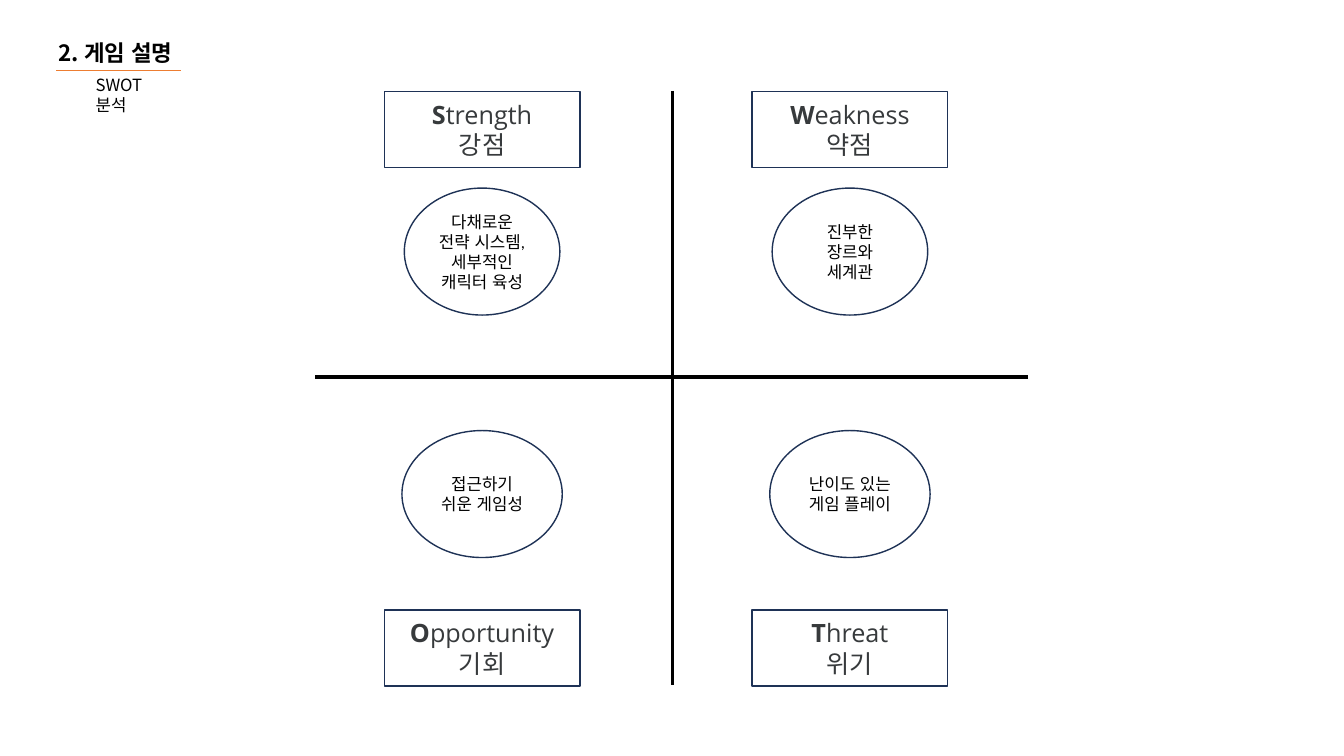
from pptx import Presentation
from pptx.dml.color import RGBColor
from pptx.enum.lang import MSO_LANGUAGE_ID
from pptx.enum.shapes import MSO_CONNECTOR, MSO_SHAPE
from pptx.enum.text import MSO_ANCHOR, PP_ALIGN
from pptx.oxml.ns import qn
from pptx.util import Cm, Pt
from lxml.etree import SubElement

COLOURS = {"black": "000000", "white": "FFFFFF", "navy": "1E3256",
           "heading": "373A3C", "orange": "ED7D31"}
FORMATS = {
    "title": {"name": "Noto Sans CJK KR", "size": Pt(16), "bold": True},
    "subtitle": {"name": "Noto Sans CJK KR", "size": Pt(12)},
    "heading": {"name": "Open Sans", "size": Pt(18), "bold": False},
    "initial": {"name": "Open Sans", "size": Pt(18), "bold": True},
    "point": {"name": "Calibri", "size": Pt(12)},
}


def add_span(para, text, style, colour="black"):
    span = para.add_run()
    span.text = text
    for key, value in FORMATS[style].items():
        setattr(span.font, key, value)
    span.font.language_id = MSO_LANGUAGE_ID.KOREAN
    span.font.color.rgb = RGBColor.from_string(COLOURS[colour])
    para.line_spacing = Pt(FORMATS[style]["size"].pt * 1.2)


def add_outlined(page, kind, centre, top, width, height):
    box = page.shapes.add_shape(kind, Cm(centre - width / 2), Cm(top), Cm(width), Cm(height))
    box.shadow.inherit = False
    box.fill.solid()
    box.fill.fore_color.rgb = RGBColor.from_string(COLOURS["white"])
    box.line.color.rgb = RGBColor.from_string(COLOURS["navy"])
    box.line.width = Pt(1)
    box.text_frame.word_wrap = True
    box.text_frame.vertical_anchor = MSO_ANCHOR.MIDDLE
    return box.text_frame


deck = Presentation()
deck.slide_width, deck.slide_height = Cm(33.87), Cm(19.05)
page = deck.slides.add_slide(deck.slide_layouts[5])

# Title and subtitle
title = page.shapes.title
title.left, title.top, title.width, title.height = Cm(1.22), Cm(0.86), Cm(3.76), Cm(0.94)
subtitle = page.shapes.add_textbox(Cm(2.16), Cm(1.75), Cm(2.5), Cm(0.76))
for box, text, style in [(title, "2. 게임 설명", "title"), (subtitle, "SWOT 분석", "subtitle")]:
    box.text_frame.word_wrap = True
    para = box.text_frame.paragraphs[0]
    para.alignment = PP_ALIGN.LEFT
    add_span(para, text, style)

# Title rule and the two axes
for left, top, right, bottom, colour, weight in [
    (1.42, 1.78, 4.57, 1.78, "orange", 0.5),
    (16.94, 2.29, 16.94, 17.27, "black", 2.25),
    (25.91, 9.5, 7.95, 9.5, "black", 2.25),
]:
    rule = page.shapes.add_connector(MSO_CONNECTOR.STRAIGHT, Cm(left), Cm(top), Cm(right), Cm(bottom))
    rule.line.color.rgb = RGBColor.from_string(COLOURS[colour])
    rule.line.width = Pt(weight)
    SubElement(rule._element.spPr, qn("a:effectLst"))

# Quadrants: a heading box and an ellipse in each
CENTRES = [12.15, 21.42]
ROWS = [
    {"heading_top": 2.31, "point_top": 4.74, "point_width": 3.92},
    {"heading_top": 15.37, "point_top": 10.85, "point_width": 4.04},
]
QUADRANTS = [
    ("Strength", "강점", ["다채로운 전략 시스템, 세부적인 캐릭터 육성"]),
    ("Weakness", "약점", ["진부한 장르와 세계관"]),
    ("Opportunity", "기회", ["접근하기 쉬운 게임성"]),
    ("Threat", "위기", ["난이도 있는", "게임 플레이"]),
]
for index, (english, korean, points) in enumerate(QUADRANTS):
    row, centre = ROWS[index // 2], CENTRES[index % 2]

    frame = add_outlined(page, MSO_SHAPE.RECTANGLE, centre, row["heading_top"], 4.93, 1.92)
    para = frame.paragraphs[0]
    add_span(para, english[0], "initial", "heading")
    add_span(para, english[1:], "heading", "heading")
    add_span(frame.add_paragraph(), korean, "heading", "heading")
    for para in frame.paragraphs:
        para.alignment = PP_ALIGN.CENTER

    frame = add_outlined(page, MSO_SHAPE.OVAL, centre, row["point_top"], row["point_width"], 3.2)
    for number, text in enumerate(points):
        para = frame.add_paragraph() if number else frame.paragraphs[0]
        para.alignment = PP_ALIGN.CENTER
        add_span(para, text, "point")

deck.save("out.pptx")
